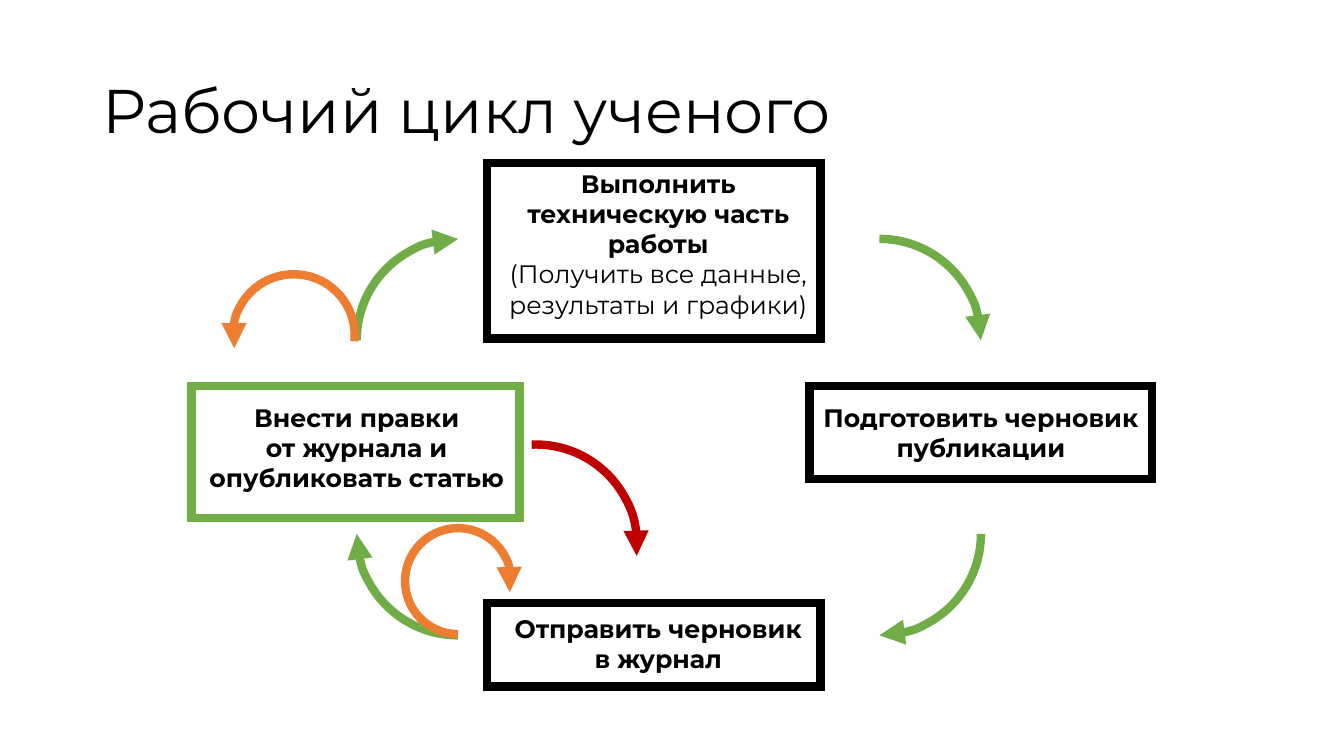
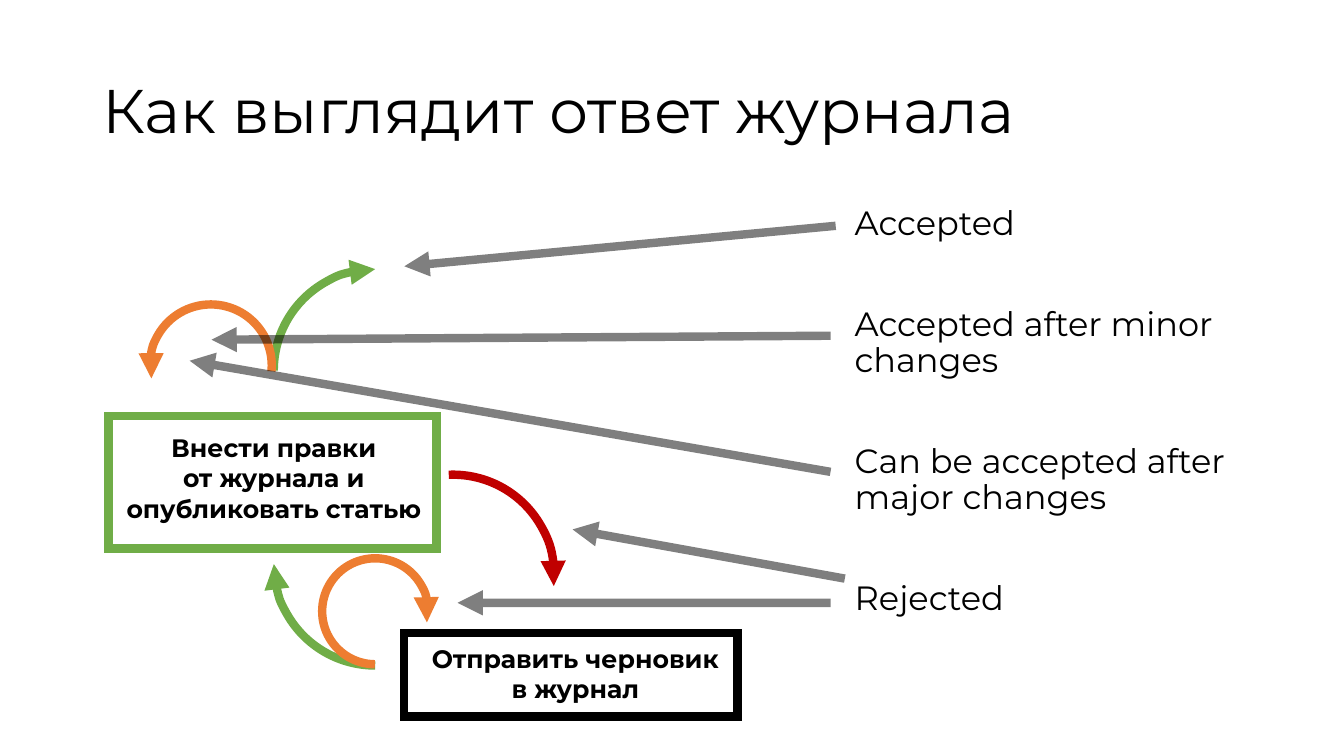
from dataclasses import dataclass

from lxml import etree
from pptx import Presentation
from pptx import util as u
from pptx.dml import color
from pptx.enum import shapes, text
from pptx.oxml import ns

COLORS = {
    "ink": "000000",
    "forward": "70AD47",
    "repeat": "ED7D31",
    "restart": "C00000",
}
FONT = "Montserrat"
STROKE = u.Pt(6)
QUARTER = 5.11  # diameter of the large arcs, cm
QUARTER_ANGLES = (162, 0)

TITLE_FORMAT = {"name": FONT, "size": u.Pt(44), "bold": False}
STEP_FORMAT = {"name": FONT, "size": u.Pt(18), "bold": True}
DETAIL_FORMAT = STEP_FORMAT | {"bold": False}
ANSWER_FORMAT = {"name": FONT, "size": u.Pt(24), "bold": False}


# Parts of the diagram; all lengths in cm
@dataclass(frozen=True)
class Box:
    left: float
    top: float
    width: float
    height: float

    def lengths(self, shift: tuple[float, float] = (0, 0)) -> list[u.Length]:
        return [u.Cm(v) for v in (self.left + shift[0], self.top + shift[1],
                                  self.width, self.height)]


@dataclass(frozen=True)
class Step:
    caption: str
    caption_box: Box
    frame: Box
    color: str = "ink"
    detail: str = ""


@dataclass(frozen=True)
class Turn:
    left: float
    top: float
    rotation: int
    color: str = "forward"
    size: float = QUARTER
    angles: tuple[float, float] = QUARTER_ANGLES
    arrow_end: str = "tailEnd"


@dataclass(frozen=True)
class Pointer:
    start: tuple[float, float]
    target: tuple[float, float]


TITLE_BOX = Box(2.33, 1.02, 29.21, 3.68)
ANSWERS_BOX = Box(21.29, 5.08, 10.26, 12.09)

# Journal review: the part of the cycle that both slides show
REVIEW_TURNS = [
    Turn(8.99, 6.02, 270),
    Turn(8.99, 10.9, 180),
    Turn(10.21, 13.31, 0, "repeat", 2.67, (54.2, 7.26)),
    Turn(10.95, 11.2, 270, "restart", angles=(214.59, 57.39)),
    Turn(5.87, 6.91, 270, "repeat", 3.07, (154.57, 57.39), "headEnd"),
]
REVIEW_STEPS = [
    Step("Отправить черновик\vв журнал",
         Box(12.27, 15.32, 8.64, 1.8), Box(12.27, 15.19, 8.41, 2.11)),
    Step("Внести правки\vот журнала и опубликовать статью",
         Box(4.67, 10.01, 8.64, 2.57), Box(4.83, 9.73, 8.26, 3.33), "forward"),
]
REVIEW_SHIFT = (-2.09, 0.76)

# Drafting: the rest of the cycle
DRAFT_TURNS = [Turn(19.61, 6.02, 0), Turn(19.61, 10.9, 90)]
DRAFT_STEPS = [
    Step("Выполнить техническую часть работы",
         Box(12.27, 4.11, 8.64, 4.11), Box(12.27, 4.11, 8.41, 4.42),
         detail="(Получить все данные, результаты и графики)"),
    Step("Подготовить черновик публикации",
         Box(20.4, 10.01, 8.64, 1.8), Box(20.4, 9.73, 8.64, 2.34)),
]

ANSWERS = [
    "Accepted",
    "Accepted after minor changes",
    "Can be accepted after major changes",
    "Rejected",
]
POINTERS = [
    Pointer((20.93, 15.19), (11.53, 15.19)),
    Pointer((21.29, 14.58), (14.43, 13.34)),
    Pointer((20.93, 8.46), (5.33, 8.56)),
    Pointer((20.93, 11.89), (4.78, 9.09)),
    Pointer((21.06, 5.69), (10.19, 6.71)),
]


def add_run(paragraph, words: str, formats: dict) -> None:
    run = paragraph.add_run()
    run.text = words
    for key, value in formats.items():
        setattr(run.font, key, value)
    run.font.color.rgb = color.RGBColor.from_string(COLORS["ink"])


def add_text_frame(slide, box: Box, shift: tuple[float, float] = (0, 0)):
    frame = slide.shapes.add_textbox(*box.lengths(shift)).text_frame
    frame.word_wrap = True
    return frame


def style_line(shape, color_name: str, arrow_end: str = "",
               opacity: int = 100) -> None:
    shape.line.width = STROKE
    shape.line.color.rgb = color.RGBColor.from_string(COLORS[color_name])
    line = shape.line._get_or_add_ln()
    if opacity < 100:
        tint = line.find(".//" + ns.qn("a:srgbClr"))
        etree.SubElement(tint, ns.qn("a:alpha"), val=str(opacity * 1000))
    etree.SubElement(line, ns.qn("a:miter"), lim="800000")
    if arrow_end:
        etree.SubElement(line, ns.qn(f"a:{arrow_end}"), type="triangle")


def add_outline(slide, kind, box: Box, shift: tuple[float, float]):
    outline = slide.shapes.add_shape(kind, *box.lengths(shift))
    outline.shadow.inherit = False
    outline.fill.background()
    return outline


def draw_turn(slide, turn: Turn, shift: tuple[float, float]) -> None:
    box = Box(turn.left, turn.top, turn.size, turn.size)
    arc = add_outline(slide, shapes.MSO_SHAPE.ARC, box, shift)
    arc.rotation = turn.rotation
    for index, angle in enumerate(turn.angles):
        arc.adjustments[index] = angle
    style_line(arc, turn.color, turn.arrow_end)


def draw_step(slide, step: Step, shift: tuple[float, float]) -> None:
    frame = add_text_frame(slide, step.caption_box, shift)
    frame.auto_size = text.MSO_AUTO_SIZE.SHAPE_TO_FIT_TEXT
    paragraph = frame.paragraphs[0]
    paragraph.alignment = text.PP_ALIGN.CENTER
    for index, words in enumerate(step.caption.split("\v")):
        if index:
            paragraph.add_line_break()
        add_run(paragraph, words, STEP_FORMAT)
    if step.detail:
        paragraph.add_line_break()
        add_run(paragraph, step.detail, DETAIL_FORMAT)
    border = add_outline(slide, shapes.MSO_SHAPE.RECTANGLE, step.frame, shift)
    style_line(border, step.color)


def draw_cycle(slide, turns: list[Turn], steps: list[Step],
               shift: tuple[float, float] = (0, 0)) -> None:
    for turn in turns:
        draw_turn(slide, turn, shift)
    for step in steps:
        draw_step(slide, step, shift)


def draw_answers(slide) -> None:
    frame = add_text_frame(slide, ANSWERS_BOX)
    for index, answer in enumerate(ANSWERS):
        paragraph = frame.add_paragraph() if index else frame.paragraphs[0]
        paragraph.line_spacing = 0.9
        paragraph.space_before = u.Pt(46 if index else 0)
        add_run(paragraph, answer, ANSWER_FORMAT)


def draw_pointer(slide, pointer: Pointer) -> None:
    ends = [u.Cm(v) for v in (*pointer.start, *pointer.target)]
    arrow = slide.shapes.add_connector(shapes.MSO_CONNECTOR.STRAIGHT, *ends)
    style_line(arrow, "ink", "tailEnd", opacity=50)
    etree.SubElement(arrow._element.spPr, ns.qn("a:effectLst"))


def add_titled_slide(deck, title: str):
    slide = deck.slides.add_slide(deck.slide_layouts[6])
    frame = add_text_frame(slide, TITLE_BOX)
    frame.vertical_anchor = text.MSO_ANCHOR.MIDDLE
    frame.paragraphs[0].line_spacing = 0.9
    add_run(frame.paragraphs[0], title, TITLE_FORMAT)
    return slide


def main() -> None:
    deck = Presentation()
    deck.slide_width, deck.slide_height = u.Cm(33.87), u.Cm(19.05)

    # Whole cycle
    cycle = add_titled_slide(deck, "Рабочий цикл ученого")
    draw_cycle(cycle, DRAFT_TURNS + REVIEW_TURNS, DRAFT_STEPS + REVIEW_STEPS)

    # Review part with the possible answers
    reply = add_titled_slide(deck, "Как выглядит ответ журнала")
    draw_answers(reply)
    draw_cycle(reply, REVIEW_TURNS, REVIEW_STEPS, REVIEW_SHIFT)
    for pointer in POINTERS:
        draw_pointer(reply, pointer)

    deck.save("out.pptx")


if __name__ == "__main__":
    main()
